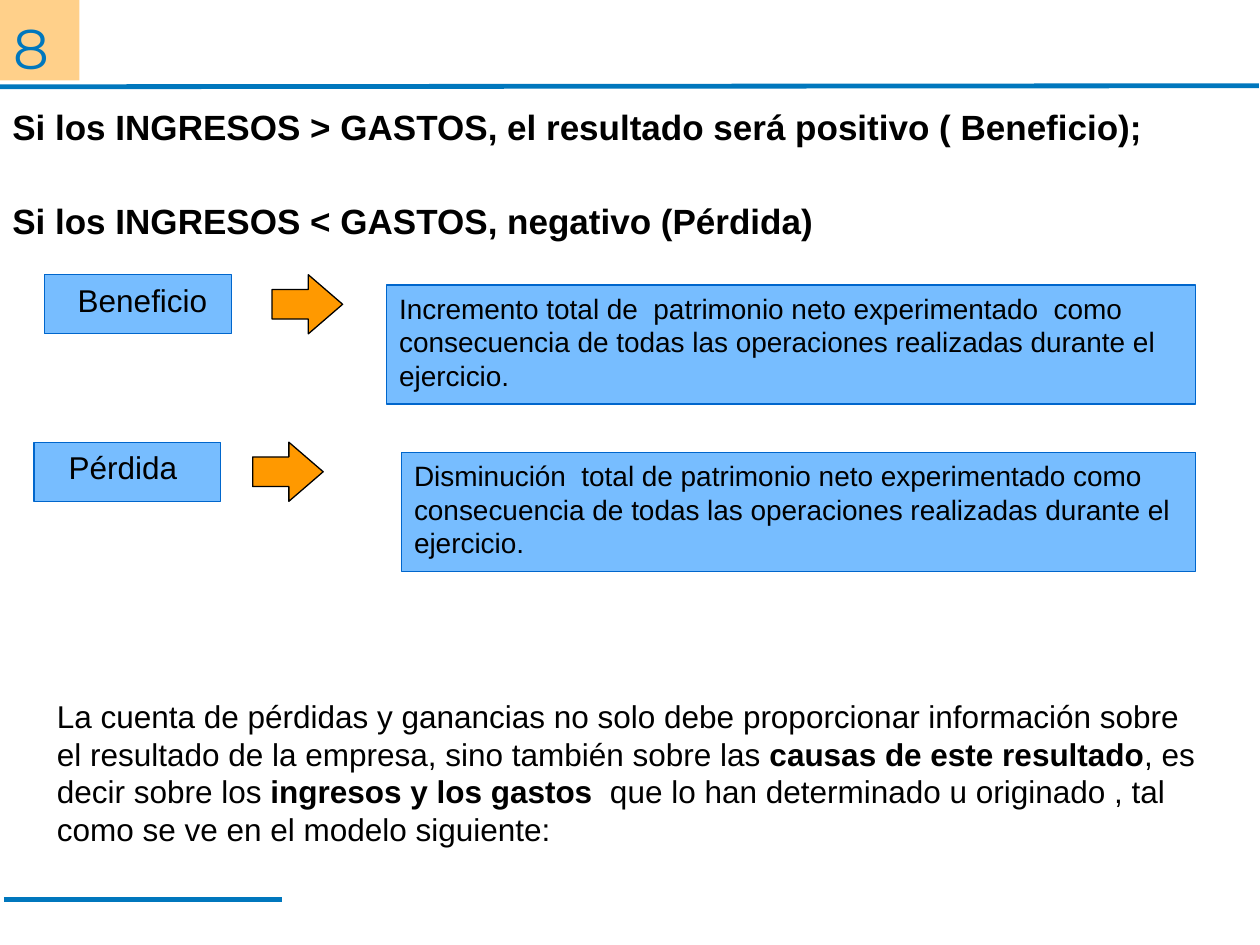
import pptx
import pptx.util
import pptx.dml.color
import pptx.enum.shapes
import pptx.enum.text
import pptx.oxml.ns
import lxml.etree

Pt = pptx.util.Pt
SHAPES = pptx.enum.shapes.MSO_SHAPE
ALIGN = pptx.enum.text.PP_ALIGN

COLORS = {"rule": "0077BD", "orange": "FF9900", "box": "77BDFF", "edge": "0066CC", "ink": "000000"}

PAGE_NUMBER = [["8"]]
CONDITIONS = [
    ["Si los INGRESOS > GASTOS, el resultado será positivo ( Beneficio);"],
    ["Si los INGRESOS < GASTOS, negativo (Pérdida)"],
]
RESULTS = [
    {"term": "Beneficio", "left": 25.4, "top": 157, "insets": (12.4, 7.2),
     "arrow_left": 155.5, "definition_left": 221,
     "definition": "Incremento total de  patrimonio neto experimentado  como consecuencia "
                   "de todas las operaciones realizadas durante el ejercicio."},
    {"term": "Pérdida", "left": 19.4, "top": 252.7, "insets": (7.2, 12.2),
     "arrow_left": 144.4, "definition_left": 229.5,
     "definition": "Disminución  total de patrimonio neto experimentado como consecuencia "
                   "de todas las operaciones realizadas durante el ejercicio."},
]
CLOSING = [
    ["La cuenta de pérdidas y ganancias no solo debe proporcionar información sobre"],
    ["el resultado de la empresa, sino también sobre las ", "causas de este resultado",
     ", es decir sobre los ", "ingresos y los gastos",
     "  que lo han determinado u originado , tal como se ve en el modelo siguiente:"],
]
RULES = [(-0.7, 49.6, 719.3, 49), (2.2, 514, 161.3, 514)]

TERM_WIDTH, ROW_HEIGHT = 106.8, 33.8
ARROW_WIDTH = 40.3
DEFINITION_RIGHT, DEFINITION_HEIGHT, DEFINITION_DROP = 683.3, 68, 5.8


def rgb(name):
    return pptx.dml.color.RGBColor.from_string(COLORS[name])


def write(holder, paragraphs, size=18, font="Arial", color="ink", bold=False, align=ALIGN.LEFT,
          insets=(7.2, 7.2), margin=3.6, line_spacing=None, before=0):
    frame = holder.text_frame
    frame.word_wrap = True
    frame.vertical_anchor = pptx.enum.text.MSO_ANCHOR.TOP
    frame.margin_left, frame.margin_right = map(Pt, insets)
    frame.margin_top = frame.margin_bottom = Pt(margin)
    for index, pieces in enumerate(paragraphs):
        paragraph = frame.add_paragraph() if index else frame.paragraphs[0]
        paragraph.alignment = align
        paragraph.line_spacing = line_spacing
        paragraph.space_before = Pt(before)
        for position, piece in enumerate(pieces):
            run = paragraph.add_run()
            run.text = piece
            run.font.size = Pt(size)
            run.font.name = font
            run.font.bold = bold or position % 2 == 1
            run.font.color.rgb = rgb(color)


def add_block(slide, preset, bounds, fill, edge=None):
    block = slide.shapes.add_shape(preset, *map(Pt, bounds))
    block.shadow.inherit = False
    block.fill.solid()
    block.fill.fore_color.rgb = rgb(fill)
    if edge:
        block.line.color.rgb = rgb(edge)
        block.line.width = Pt(0.75)
    else:
        block.line.fill.background()
    return block


def add_rule(slide, ends):
    rule = slide.shapes.add_connector(pptx.enum.shapes.MSO_CONNECTOR.STRAIGHT, *map(Pt, ends))
    rule.line.color.rgb = rgb("rule")
    rule.line.width = Pt(2.75)
    lxml.etree.SubElement(rule._element.spPr, pptx.oxml.ns.qn("a:effectLst"))


def add_result(slide, result):
    top = result["top"]
    arrow = add_block(slide, SHAPES.RIGHT_ARROW,
                      (result["arrow_left"], top, ARROW_WIDTH, ROW_HEIGHT), "orange", "ink")
    arrow.adjustments[0] = 0.5
    arrow.adjustments[1] = 0.58
    term = add_block(slide, SHAPES.FLOWCHART_PROCESS,
                     (result["left"], top, TERM_WIDTH, ROW_HEIGHT), "box", "edge")
    write(term, [[result["term"]]], align=ALIGN.CENTER, insets=result["insets"])
    left = result["definition_left"]
    definition = add_block(slide, SHAPES.FLOWCHART_PROCESS,
                           (left, top + DEFINITION_DROP, DEFINITION_RIGHT - left, DEFINITION_HEIGHT),
                           "box", "edge")
    write(definition, [[result["definition"]]], size=16)


def main():
    deck = pptx.Presentation()
    deck.slide_width, deck.slide_height = Pt(720), Pt(540)
    slide = deck.slides.add_slide(deck.slide_layouts[6])

    for ends in RULES:
        add_rule(slide, ends)

    badge = add_block(slide, SHAPES.RECTANGLE, (0, 0, 45.4, 46), "orange")
    tint = badge._element.spPr.find(".//" + pptx.oxml.ns.qn("a:srgbClr"))
    lxml.etree.SubElement(tint, pptx.oxml.ns.qn("a:alpha"), val="46000")
    write(badge, PAGE_NUMBER, size=32, font="Montserrat", color="rule",
          insets=(7.5, 0), margin=0, line_spacing=1.2, before=28)

    for result in RESULTS:
        add_result(slide, result)

    closing = slide.shapes.add_textbox(Pt(25.4), Pt(394.6), Pt(680.4), Pt(93.6))
    write(closing, CLOSING)
    conditions = slide.shapes.add_textbox(Pt(0), Pt(49), Pt(700.6), Pt(100))
    write(conditions, CONDITIONS, size=20, bold=True, margin=0.7, line_spacing=1.45, before=18.7)

    deck.save("out.pptx")


if __name__ == "__main__":
    main()
